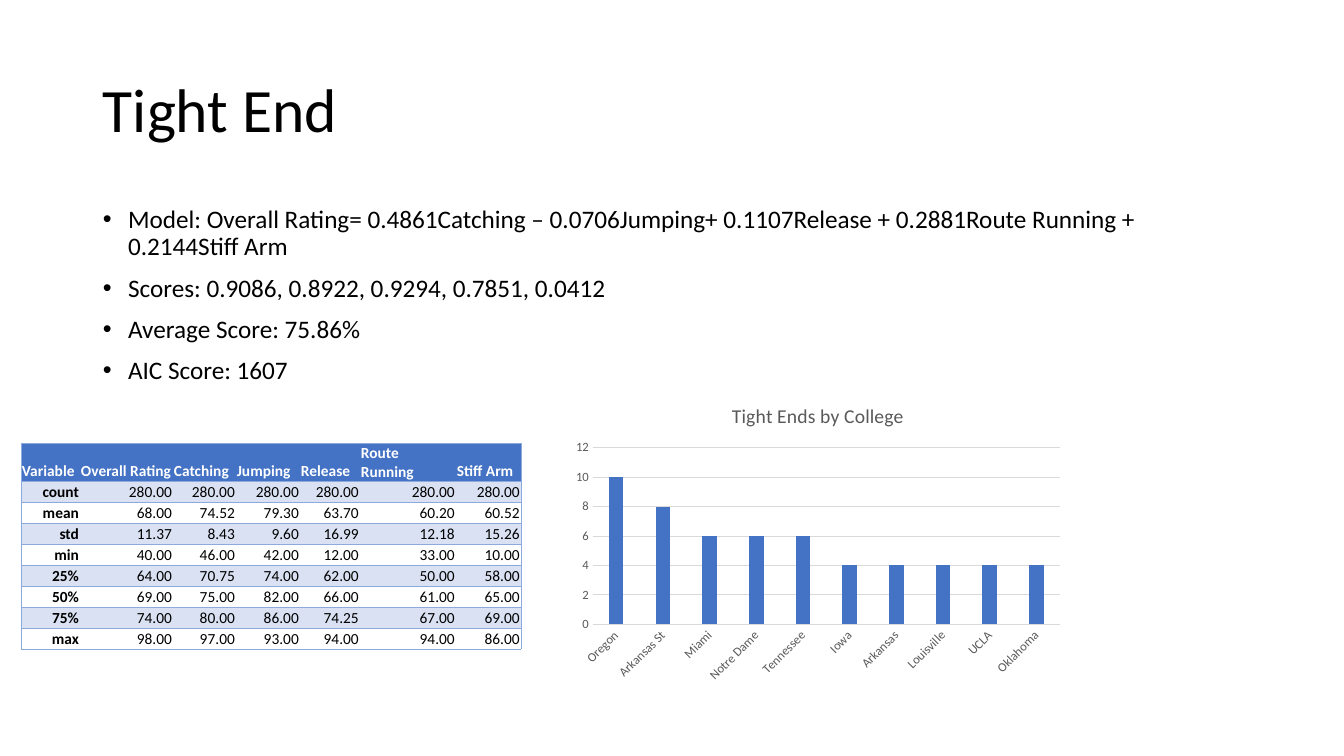
from lxml.etree import SubElement
from pptx import Presentation
from pptx.chart.data import CategoryChartData
from pptx.dml.color import RGBColor
from pptx.enum.chart import XL_CHART_TYPE, XL_TICK_MARK
from pptx.enum.text import MSO_ANCHOR, PP_ALIGN
from pptx.oxml.ns import qn
from pptx.util import Emu, Pt

SCALE = 914400 / 100.8
BLACK = RGBColor(0x00, 0x00, 0x00)
WHITE = RGBColor(0xFF, 0xFF, 0xFF)
GRAY = RGBColor(0x59, 0x59, 0x59)
GRID = RGBColor(0xD9, 0xD9, 0xD9)
BLUE = RGBColor(0x44, 0x72, 0xC4)
BAND = RGBColor(0xD9, 0xE1, 0xF2)
BORDER = RGBColor(0x8E, 0xA9, 0xDB)
NO_STYLE = "{2D5ABB26-0587-4C30-8999-92F81FD0307C}"

BULLETS = [
    "Model: Overall Rating= 0.4861Catching – 0.0706Jumping+ 0.1107Release"
    " + 0.2881Route Running + 0.2144Stiff Arm",
    "Scores: 0.9086, 0.8922, 0.9294, 0.7851, 0.0412",
    "Average Score: 75.86%",
    "AIC Score: 1607",
]
COL_WIDTHS = [59, 93, 63, 64, 60, 96, 65]
ROW_HEIGHT = 21
HEADER = ["Variable", "Overall Rating", "Catching", "Jumping", "Release",
          "Route Running", "Stiff Arm"]
STATS = {
    "count": [280, 280, 280, 280, 280, 280],
    "mean": [68, 74.52, 79.3, 63.7, 60.2, 60.52],
    "std": [11.37, 8.43, 9.6, 16.99, 12.18, 15.26],
    "min": [40, 46, 42, 12, 33, 10],
    "25%": [64, 70.75, 74, 62, 50, 58],
    "50%": [69, 75, 82, 66, 61, 65],
    "75%": [74, 80, 86, 74.25, 67, 69],
    "max": [98, 97, 93, 94, 94, 86],
}
COLLEGES = {
    "Oregon": 10, "Arkansas St": 8, "Miami": 6, "Notre Dame": 6,
    "Tennessee": 6, "Iowa": 4, "Arkansas": 4, "Louisville": 4,
    "UCLA": 4, "Oklahoma": 4,
}


def px(n):
    return Emu(round(n * SCALE))


class SlideBuilder:
    font_name = "Calibri"

    def __init__(self, slide):
        self.slide = slide

    def style(self, font, size, color, bold=False):
        font.name = self.font_name
        font.size = Pt(size)
        font.bold = bold
        font.color.rgb = color

    def text(self, box, lines, size, anchor=MSO_ANCHOR.TOP, bullet=False):
        tf = self.slide.shapes.add_textbox(*map(px, box)).text_frame
        tf.word_wrap = True
        tf.vertical_anchor = anchor
        tf.text = "\n".join(lines)
        for p in tf.paragraphs:
            p.line_spacing = 0.9
            self.style(p.runs[0].font, size, BLACK)
            if bullet:
                p.space_before = Pt(10)
                pPr = p._p.get_or_add_pPr()
                pPr.set("marL", "228600")
                pPr.set("indent", "-228600")
                SubElement(pPr, qn("a:buFont"), typeface="Arial")
                SubElement(pPr, qn("a:buChar"), char="•")

    def border(self, cell, sides):
        tcPr = cell._tc.get_or_add_tcPr()
        for side in sides:
            ln = SubElement(tcPr, qn(f"a:ln{side}"), w=str(Pt(0.5)))
            fill = SubElement(ln, qn("a:solidFill"))
            SubElement(fill, qn("a:srgbClr"), val=str(BORDER))

    def cell(self, cell, text, color, bold, align, fill, sides):
        cell.margin_left = cell.margin_right = cell.margin_top = px(1)
        cell.margin_bottom = 0
        cell.vertical_anchor = MSO_ANCHOR.BOTTOM
        cell.text_frame.text = text
        p = cell.text_frame.paragraphs[0]
        p.alignment = align
        self.style(p.runs[0].font, 11, color, bold)
        self.border(cell, sides)
        if fill is None:
            cell.fill.background()
        else:
            cell.fill.solid()
            cell.fill.fore_color.rgb = fill

    def table(self, left, top, widths, row_height, rows):
        table = self.slide.shapes.add_table(
            len(rows), len(widths), px(left), px(top),
            px(sum(widths)), px(row_height * len(rows))).table
        table._tbl.tblPr.find(qn("a:tableStyleId")).text = NO_STYLE
        for column, width in zip(table.columns, widths):
            column.width = px(width)
        last = len(widths) - 1
        for i, row in enumerate(rows):
            table.rows[i].height = px(row_height)
            head = i == 0
            fill = BLUE if head else BAND if i % 2 else None
            for j, text in enumerate(row):
                sides = "L" * (j == 0) + "R" * (j == last) + "TB"
                self.cell(table.cell(i, j), text, WHITE if head else BLACK,
                          head or j == 0,
                          PP_ALIGN.LEFT if head else PP_ALIGN.RIGHT,
                          fill, sides)

    def column_chart(self, box, title, values):
        data = CategoryChartData()
        data.categories = list(values)
        data.add_series("Series 1", list(values.values()))
        chart = self.slide.shapes.add_chart(
            XL_CHART_TYPE.COLUMN_CLUSTERED, *map(px, box), data).chart
        self.style(chart.font, 10, BLACK)
        chart.has_legend = False
        chart.has_title = True
        tf = chart.chart_title.text_frame
        tf.text = title
        self.style(tf.paragraphs[0].runs[0].font, 14, GRAY)
        chart.chart_title.include_in_layout = False

        plot = chart.plots[0]
        plot.gap_width = 219
        plot.overlap = -27
        plot.vary_by_categories = False
        fill = plot.series[0].format.fill
        fill.solid()
        fill.fore_color.rgb = BLUE

        cat, val = chart.category_axis, chart.value_axis
        for axis in (cat, val):
            axis.major_tick_mark = axis.minor_tick_mark = XL_TICK_MARK.NONE
            self.style(axis.tick_labels.font, 9, GRAY)
        cat._element.txPr.find(qn("a:bodyPr")).set("rot", "-2700000")
        val.minimum_scale, val.maximum_scale, val.major_unit = 0, 12, 2
        val.format.line.fill.background()
        for line in (cat.format.line, val.major_gridlines.format.line):
            line.color.rgb = GRID
            line.width = Pt(0.75)


def main():
    prs = Presentation()
    prs.slide_width, prs.slide_height = px(1344), px(756)
    s = SlideBuilder(prs.slides.add_slide(prs.slide_layouts[6]))

    # Title and model summary
    s.text((93, 40, 1159, 146), ["Tight End"], 44, MSO_ANCHOR.MIDDLE)
    s.text((93, 202, 1159, 480), BULLETS, 18, bullet=True)

    # Tight ends per college
    s.column_chart((566, 387, 504, 302), "Tight Ends by College", COLLEGES)

    # Descriptive statistics
    rows = [HEADER] + [[name] + [f"{v:.2f}" for v in values]
                       for name, values in STATS.items()]
    s.table(21, 443, COL_WIDTHS, ROW_HEIGHT, rows)

    prs.save("out.pptx")


if __name__ == "__main__":
    main()
